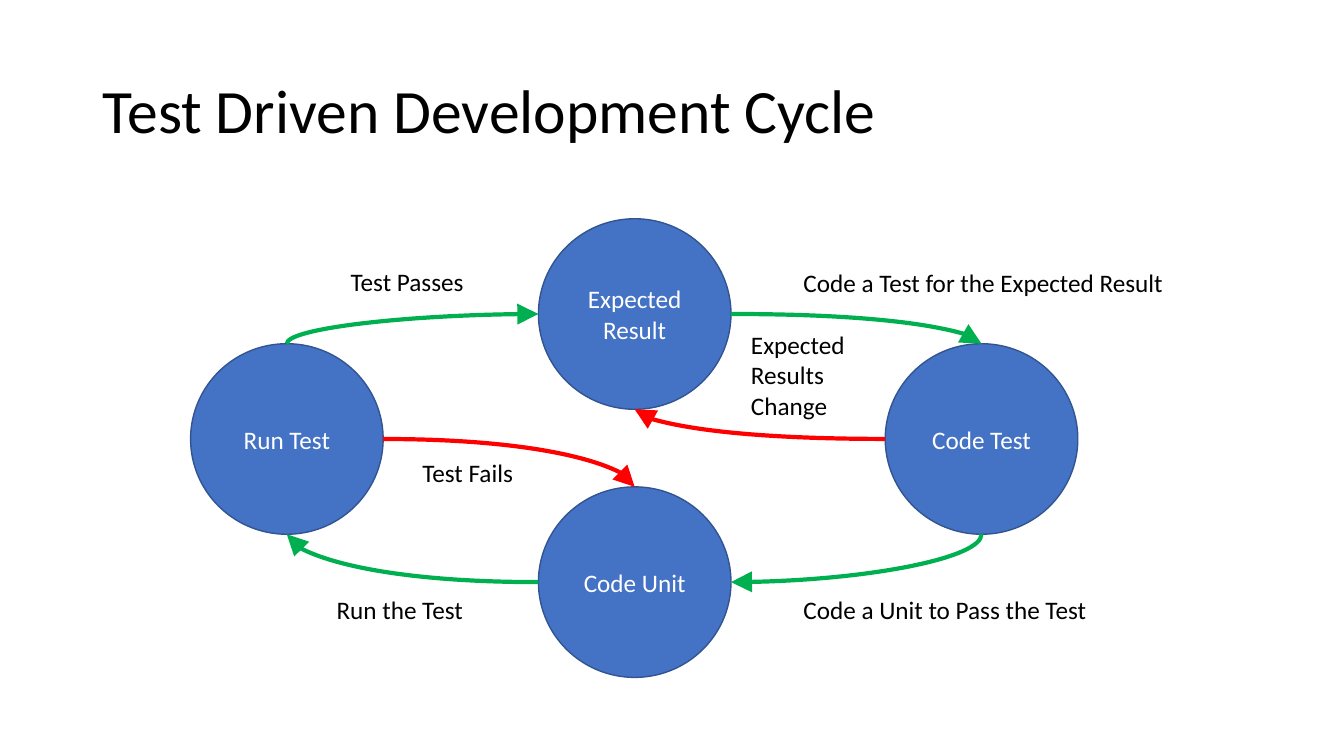
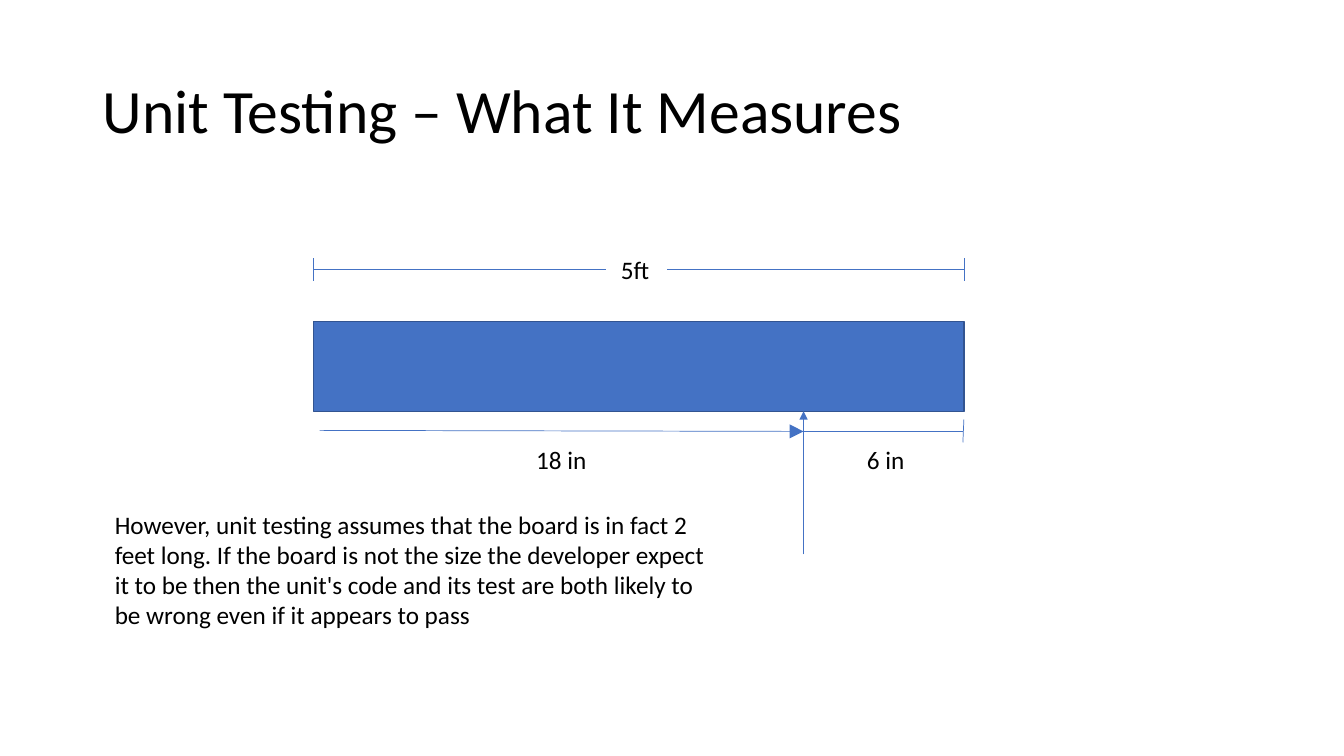
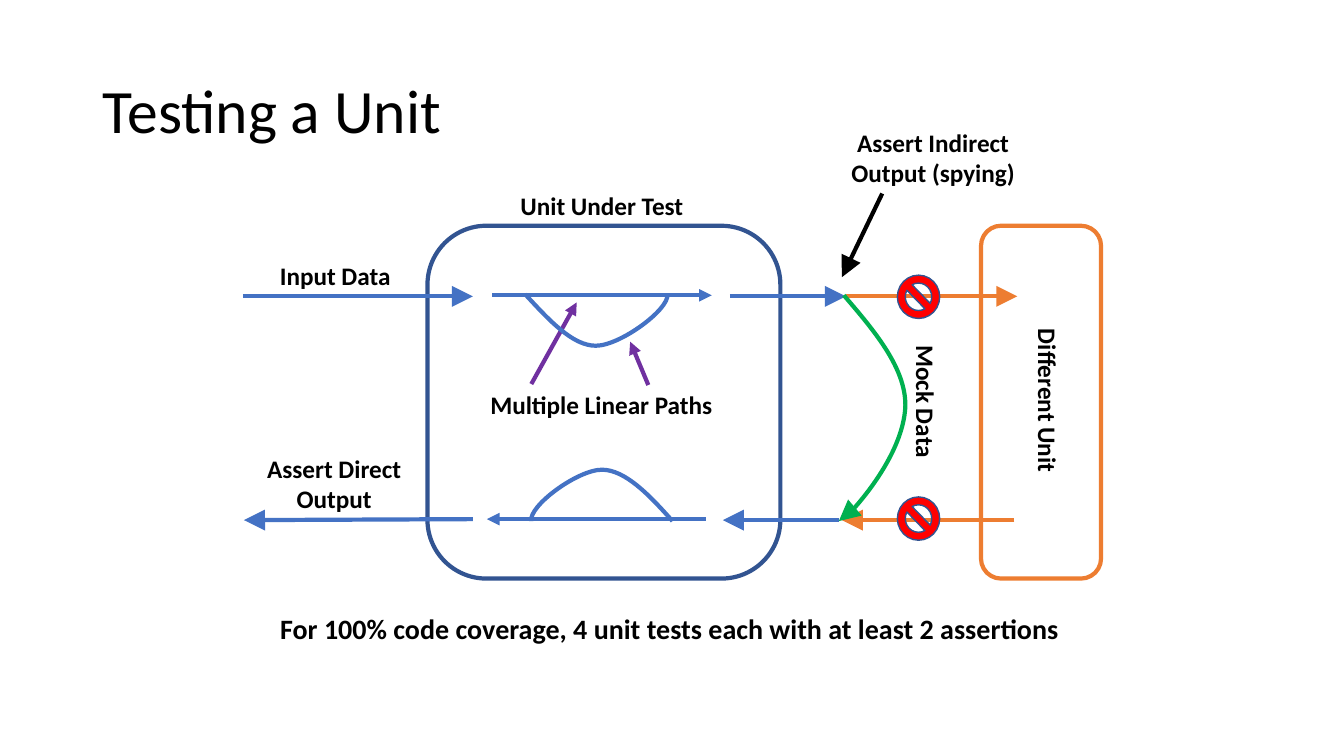
from dataclasses import dataclass

from lxml.etree import SubElement
from pptx import Presentation
from pptx.dml.color import RGBColor
from pptx.enum.shapes import MSO_CONNECTOR, MSO_SHAPE
from pptx.enum.text import MSO_ANCHOR, MSO_AUTO_SIZE, PP_ALIGN
from pptx.oxml.ns import qn
from pptx.util import Inches, Pt

BLACK = RGBColor(0x00, 0x00, 0x00)
WHITE = RGBColor(0xFF, 0xFF, 0xFF)
BLUE = RGBColor(0x44, 0x72, 0xC4)
NAVY = RGBColor(0x32, 0x54, 0x91)
GREEN = RGBColor(0x00, 0xB0, 0x50)
RED = RGBColor(0xFF, 0x00, 0x00)
ORANGE = RGBColor(0xED, 0x7D, 0x31)
PURPLE = RGBColor(0x70, 0x30, 0xA0)

STRAIGHT, CURVE = MSO_CONNECTOR.STRAIGHT, MSO_CONNECTOR.CURVE
ELLIPSE, RECTANGLE = MSO_SHAPE.OVAL, MSO_SHAPE.RECTANGLE
ROUNDED, NO_SYMBOL = MSO_SHAPE.ROUNDED_RECTANGLE, MSO_SHAPE.NO_SYMBOL
MIDDLE, FIT_SHAPE = MSO_ANCHOR.MIDDLE, MSO_AUTO_SIZE.SHAPE_TO_FIT_TEXT
LEFT, CENTER = PP_ALIGN.LEFT, PP_ALIGN.CENTER

FONT = "Calibri"
TITLE_ONLY = 5
NODE_WIDTH, NODE_HEIGHT = 1.91, 1.89
ELLIPSE_SITES = {"top": 0, "left": 2, "bottom": 4, "right": 6}

Point = tuple[float, float]


@dataclass(frozen=True)
class Node:
    label: str
    left: float
    top: float

    def site(self, side: str) -> Point:
        across, down = {"top": (0.5, 0), "left": (0, 0.5),
                        "bottom": (0.5, 1), "right": (1, 0.5)}[side]
        return self.left + across * NODE_WIDTH, self.top + down * NODE_HEIGHT


@dataclass(frozen=True)
class Flow:
    level_node: str
    level_side: str
    upright_node: str
    upright_side: str
    color: RGBColor
    arrow_end: str = "tailEnd"


@dataclass(frozen=True)
class Label:
    text: str
    left: float
    top: float
    width: float
    height: float = 0.4
    wrap: bool = False
    align: PP_ALIGN = LEFT
    bold: bool = False
    size: int = 18
    rotation: int = 0


@dataclass(frozen=True)
class Line:
    start: Point
    end: Point
    color: RGBColor = BLUE
    weight: float = 3
    arrow: str = "lg"


NODES = (
    Node("Expected Result", 5.34, 2.17),
    Node("Code Test", 8.78, 3.41),
    Node("Code Unit", 5.34, 4.83),
    Node("Run Test", 1.89, 3.41),
)
FLOWS = (
    Flow("Code Unit", "right", "Code Test", "bottom", GREEN, "headEnd"),
    Flow("Code Unit", "left", "Run Test", "bottom", GREEN),
    Flow("Expected Result", "right", "Code Test", "top", GREEN),
    Flow("Expected Result", "left", "Run Test", "top", GREEN, "headEnd"),
    Flow("Run Test", "right", "Code Unit", "top", RED),
    Flow("Code Test", "left", "Expected Result", "bottom", RED),
)
CYCLE_LABELS = (
    Label("Code a Test for the Expected Result", 7.87, 2.6, 3.81),
    Label("Code a Unit to Pass the Test", 7.87, 5.85, 3.04),
    Label("Run the Test", 3.24, 5.85, 1.47),
    Label("Test Passes", 3.38, 2.59, 1.33),
    Label("Test Fails", 4.09, 4.49, 1.11),
    Label("Expected Results Change", 7.35, 3.22, 1.59, 1.01, wrap=True),
)

BOARD_LEFT, BOARD_RIGHT, CUT = 3.11, 9.56, 7.97
MEASURES = (
    Line((BOARD_LEFT, 2.67), (6.01, 2.67), weight=0.5, arrow=""),
    Line((6.62, 2.67), (BOARD_RIGHT, 2.67), weight=0.5, arrow=""),
    Line((BOARD_LEFT, 2.56), (BOARD_LEFT, 2.79), weight=0.5, arrow=""),
    Line((BOARD_RIGHT, 2.56), (BOARD_RIGHT, 2.79), weight=0.5, arrow=""),
    Line((CUT, 5.5), (CUT, 4.08), weight=0.5, arrow="med"),
    Line((BOARD_RIGHT, 4.16), (9.55, 4.39), weight=0.5, arrow=""),
    Line((CUT, 4.28), (9.55, 4.28), weight=0.5, arrow=""),
    Line((3.17, 4.27), (CUT, 4.28), weight=0.5),
)
BOARD_LABELS = (
    Label("5ft", 6.06, 2.47, 0.49),
    Label("6 in", 8.5, 4.36, 0.58),
    Label("However, unit testing assumes that the board is in fact 2 feet long. "
          "If the board is not the size the developer expect it to be then the "
          "unit's code and its test are both likely to be wrong even if it "
          "appears to pass", 1.04, 5, 6.13, 1.31, wrap=True),
    Label("18 in", 5.22, 4.36, 0.71),
)

CALLS = (
    Line((2.41, 2.94), (4.69, 2.94)),
    Line((4.69, 5.15), (2.42, 5.16)),
    Line((7.24, 2.94), (8.39, 2.94)),
    Line((8.32, 5.16), (7.17, 5.16)),
    Line((8.39, 2.94), (10.09, 2.94), ORANGE),
    Line((10.06, 5.16), (8.35, 5.16), ORANGE),
    Line((8.75, 1.92), (8.35, 2.75), BLACK),
    Line((7, 5.15), (4.83, 5.15), arrow="med"),
    Line((4.88, 2.93), (7.06, 2.93), arrow="med"),
    Line((5.27, 3.81), (5.72, 3), PURPLE, arrow="med"),
    Line((6.43, 3.82), (6.25, 3.39), PURPLE, arrow="med"),
)
MOCK_PATH = ((8.37, 2.93), (8.68, 3.29), (8.98, 3.65), (8.98, 4.02),
             (8.97, 4.4), (8.48, 5.12), (8.32, 5.17))
RETURN_BRANCH = ((6.67, 5.17), (6.44, 4.91), (6.2, 4.66), (5.97, 4.66),
                 (5.73, 4.66), (5.24, 5.02), (5.27, 5.17))
INPUT_BRANCH = ((5.21, 2.92), (5.45, 3.18), (5.68, 3.43), (5.91, 3.43),
                (6.15, 3.43), (6.64, 3.07), (6.62, 2.92))
UNIT_LABELS = (
    Label("Mock Data", 8.52, 3.79, 1.33, bold=True, rotation=90),
    Label("Assert Indirect Output (spying)", 8.32, 1.21, 1.87, 0.71, True, CENTER, True),
    Label("Input Data", 2.46, 2.53, 1.73, 0.4, True, CENTER, True),
    Label("Assert Direct Output", 2.45, 4.45, 1.73, 0.71, True, CENTER, True),
    Label("Different Unit", 9.57, 3.79, 1.65, bold=True, rotation=90),
    Label("Unit Under Test", 4.94, 1.84, 2.06, 0.4, True, CENTER, True),
    Label("Multiple Linear Paths", 4.7, 3.81, 2.53, 0.4, True, CENTER, True),
    Label("For 100% code coverage, 4 unit tests each with at least 2 assertions",
          2.68, 6.02, 7.99, 0.44, bold=True, size=20),
)


def style_text(frame, text: str, size: int, color: RGBColor,
               align: PP_ALIGN, bold: bool = False) -> None:
    frame.text = text
    paragraph = frame.paragraphs[0]
    paragraph.alignment = align
    font = paragraph.font
    font.name, font.size, font.bold = FONT, Pt(size), bold
    font.color.rgb = color


def style_line(stroke, color: RGBColor, weight: float,
               arrow: str = "", arrow_end: str = "tailEnd") -> None:
    stroke.line.color.rgb = color
    stroke.line.width = Pt(weight)
    if arrow:
        outline = stroke.element.spPr.find(qn("a:ln"))
        SubElement(outline, qn(f"a:{arrow_end}"), type="triangle", w=arrow, len=arrow)


def add_titled_slide(deck, title: str):
    slide = deck.slides.add_slide(deck.slide_layouts[TITLE_ONLY])
    heading = slide.shapes.title
    heading.left, heading.top = Inches(0.92), Inches(0.4)
    heading.width, heading.height = Inches(11.5), Inches(1.45)
    style_text(heading.text_frame, title, 44, BLACK, LEFT)
    heading.text_frame.vertical_anchor = MIDDLE
    heading.text_frame.paragraphs[0].line_spacing = 0.9
    return slide


def add_figure(slide, kind: MSO_SHAPE, left: float, top: float, width: float,
               height: float, fill: RGBColor = BLUE, outline: RGBColor = NAVY,
               weight: float = 1):
    figure = slide.shapes.add_shape(
        kind, Inches(left), Inches(top), Inches(width), Inches(height))
    figure.shadow.inherit = False
    figure.fill.solid()
    figure.fill.fore_color.rgb = fill
    style_line(figure, outline, weight)
    return figure


def add_label(slide, label: Label) -> None:
    box = slide.shapes.add_textbox(
        Inches(label.left), Inches(label.top), Inches(label.width), Inches(label.height))
    box.rotation = label.rotation
    box.text_frame.word_wrap = label.wrap
    box.text_frame.auto_size = FIT_SHAPE
    style_text(box.text_frame, label.text, label.size, BLACK, label.align, label.bold)


def add_link(slide, kind: MSO_CONNECTOR, line: Line, arrow_end: str = "tailEnd"):
    link = slide.shapes.add_connector(
        kind, *(Inches(value) for value in (*line.start, *line.end)))
    style_line(link, line.color, line.weight, line.arrow, arrow_end)
    SubElement(link.element.spPr, qn("a:effectLst"))
    return link


def add_flow(slide, flow: Flow, nodes: dict, circles: dict) -> None:
    line = Line(nodes[flow.level_node].site(flow.level_side),
                nodes[flow.upright_node].site(flow.upright_side), flow.color)
    link = add_link(slide, CURVE, line, flow.arrow_end)
    link.element.spPr.find(qn("a:prstGeom")).set("prst", "curvedConnector2")
    joints = next(link.element.iter(qn("p:cNvCxnSpPr")))
    for tag, name, side in (("a:stCxn", flow.level_node, flow.level_side),
                            ("a:endCxn", flow.upright_node, flow.upright_side)):
        SubElement(joints, qn(tag), id=str(circles[name].shape_id),
                   idx=str(ELLIPSE_SITES[side]))


def add_curve(slide, points: tuple[Point, ...], color: RGBColor, arrow: str = "") -> None:
    start, *controls = [(Inches(x), Inches(y)) for x, y in points]
    builder = slide.shapes.build_freeform(*start)
    builder.add_line_segments(controls, close=False)
    curve = builder.convert_to_shape()
    outline = next(curve.element.iter(qn("a:path")))
    segments = outline.findall(qn("a:lnTo"))
    for first in range(0, len(segments), 3):
        bezier = SubElement(outline, qn("a:cubicBezTo"))
        for segment in segments[first:first + 3]:
            bezier.append(segment[0])
            outline.remove(segment)
    curve.shadow.inherit = False
    curve.fill.background()
    style_line(curve, color, 3, arrow)


def build_cycle(deck) -> None:
    slide = add_titled_slide(deck, "Test Driven Development Cycle")
    nodes = {node.label: node for node in NODES}
    circles = {}
    for node in NODES:
        circle = add_figure(slide, ELLIPSE, node.left, node.top, NODE_WIDTH, NODE_HEIGHT)
        style_text(circle.text_frame, node.label, 18, WHITE, CENTER)
        circles[node.label] = circle
    for flow in FLOWS:
        add_flow(slide, flow, nodes, circles)
    for label in CYCLE_LABELS:
        add_label(slide, label)


def build_board(deck) -> None:
    slide = add_titled_slide(deck, "Unit Testing – What It Measures")
    add_figure(slide, RECTANGLE, BOARD_LEFT, 3.19, BOARD_RIGHT - BOARD_LEFT, 0.89)
    for measure in MEASURES:
        add_link(slide, STRAIGHT, measure)
    for label in BOARD_LABELS:
        add_label(slide, label)


def build_unit(deck) -> None:
    slide = add_titled_slide(deck, "Testing a Unit")
    add_figure(slide, ROUNDED, 4.24, 2.24, 3.5, 3.5, WHITE, NAVY, 3)
    add_figure(slide, ROUNDED, 9.73, 2.24, 1.19, 3.5, WHITE, ORANGE, 3)
    for call in CALLS:
        add_link(slide, STRAIGHT, call)
    add_curve(slide, MOCK_PATH, GREEN, "lg")
    add_curve(slide, RETURN_BRANCH, BLUE)
    add_curve(slide, INPUT_BRANCH, BLUE)
    for label in UNIT_LABELS:
        add_label(slide, label)
    for top in (2.73, 4.93):
        add_figure(slide, NO_SYMBOL, 8.9, top, 0.42, 0.43, RED)


def main() -> None:
    deck = Presentation()
    deck.slide_width, deck.slide_height = Inches(13.33), Inches(7.5)
    build_cycle(deck)
    build_board(deck)
    build_unit(deck)
    deck.save("out.pptx")


if __name__ == "__main__":
    main()
